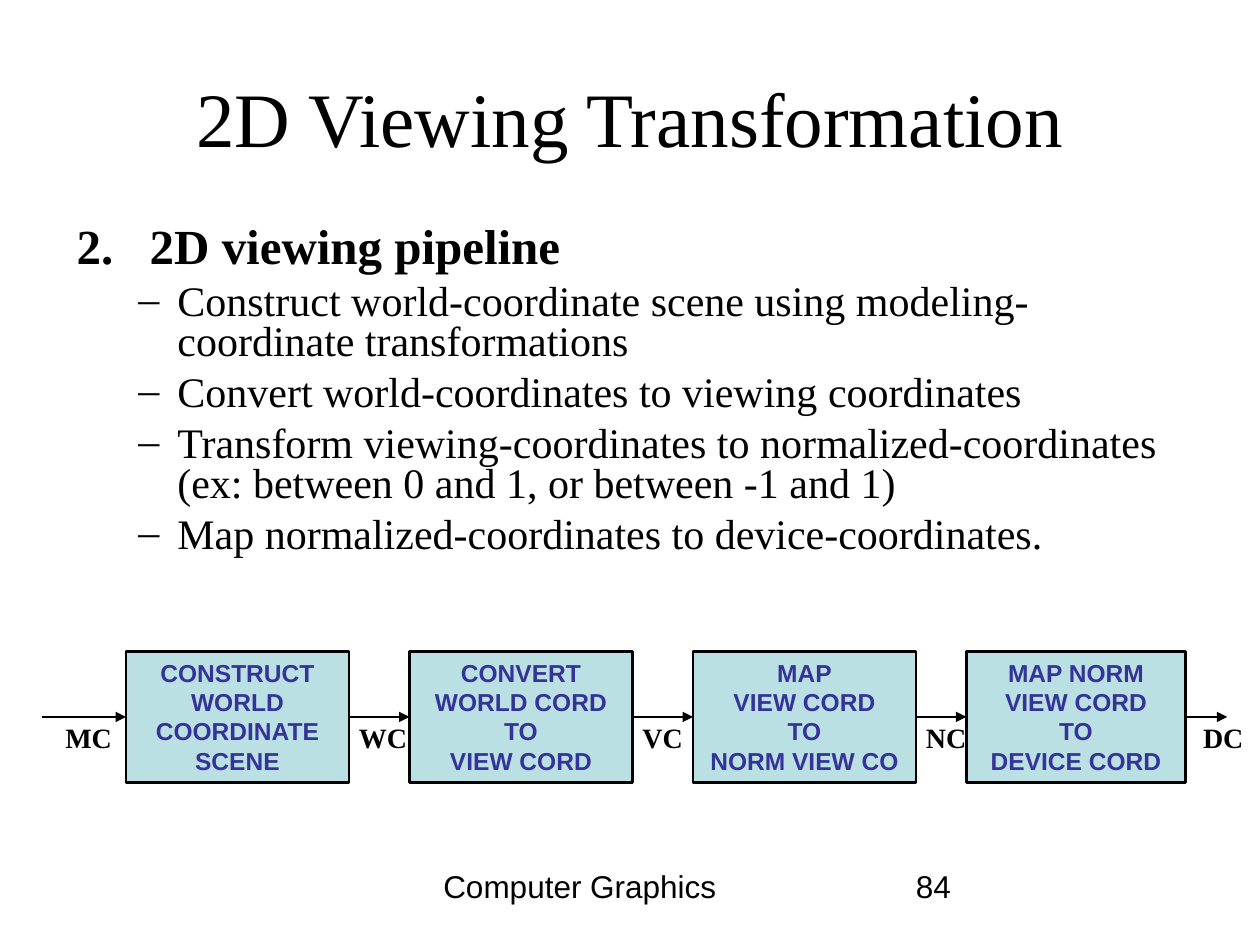
from dataclasses import dataclass

from lxml import etree
from pptx import Presentation
from pptx.dml.color import RGBColor
from pptx.enum.shapes import MSO_CONNECTOR, MSO_SHAPE
from pptx.enum.text import MSO_ANCHOR, PP_ALIGN
from pptx.oxml.ns import qn
from pptx.util import Inches, Pt

RECT = MSO_SHAPE.RECTANGLE
STRAIGHT = MSO_CONNECTOR.STRAIGHT
LEFT, CENTER = PP_ALIGN.LEFT, PP_ALIGN.CENTER
TOP, MIDDLE = MSO_ANCHOR.TOP, MSO_ANCHOR.MIDDLE
LEFT_SIDE, RIGHT_SIDE = 1, 3
TITLE_ONLY = 5


@dataclass(frozen=True)
class Theme:
    serif: str = "Times New Roman"
    sans: str = "Arial"
    ink: str = "000000"
    box_fill: str = "BBE0E3"
    box_text: str = "333399"
    title: int = 44
    heading: int = 28
    bullet: int = 24
    footer: int = 18
    label: int = 16
    box: int = 14
    line: float = 1.5


def rgb(value):
    return RGBColor.from_string(value)


def add_xml(parent, tag, **attrs):
    return etree.SubElement(parent, qn(tag), attrs)


def write(p, text, *, font, size, color, bold=False, align=LEFT, spacing=None,
          before=0, hang=None, bullet=None):
    """Fill a paragraph; hang is (left margin, first-line indent) in inches."""
    pPr = p._p.get_or_add_pPr()
    if hang:
        margin, indent = hang
        pPr.set("marL", str(Inches(margin)))
        pPr.set("indent", str(Inches(indent)))
    if bullet:
        add_xml(add_xml(pPr, "a:buClr"), "a:srgbClr", val=color)
        add_xml(pPr, "a:buFont", typeface=font)
        add_xml(pPr, "a:buChar", char=bullet)
    p.alignment = align
    if spacing:
        p.line_spacing = spacing
    if before:
        p.space_before = Pt(before)
    r = p.add_run()
    r.text = text
    r.font.name = font
    r.font.size = Pt(size)
    r.font.bold = bold
    r.font.color.rgb = rgb(color)


class SlideBuilder:
    def __init__(self, prs, theme):
        self.theme = theme
        self.s = prs.slides.add_slide(prs.slide_layouts[TITLE_ONLY])

    def title(self, text, left, top, width, height):
        sp = self.s.shapes.title
        sp.left, sp.top = Inches(left), Inches(top)
        sp.width, sp.height = Inches(width), Inches(height)
        sp.text_frame.vertical_anchor = MIDDLE
        write(sp.text_frame.paragraphs[0], text, font=self.theme.serif,
              size=self.theme.title, color=self.theme.ink, align=CENTER)

    def text_frame(self, left, top, width, height):
        sp = self.s.shapes.add_textbox(Inches(left), Inches(top),
                                       Inches(width), Inches(height))
        sp.text_frame.word_wrap = True
        return sp.text_frame

    def body(self, heading, bullets, left, top, width, height):
        t = self.theme
        tf = self.text_frame(left, top, width, height)
        style = dict(font=t.serif, color=t.ink, spacing=0.8)
        write(tf.paragraphs[0], heading, size=t.heading, bold=True,
              hang=(0.59, -0.58), **style)
        for text in bullets:
            write(tf.add_paragraph(), text, size=t.bullet, before=6,
                  hang=(0.81, -0.31), bullet="–", **style)

    def footer(self, text, left, width):
        tf = self.text_frame(left, 6.83, width, 0.51)
        write(tf.paragraphs[0], text, font=self.theme.sans,
              size=self.theme.footer, color=self.theme.ink)

    def label(self, text, left, top):
        tf = self.text_frame(left, top, 0.55, 0.37)
        tf.margin_right = 0
        write(tf.paragraphs[0], text, font=self.theme.serif,
              size=self.theme.label, color=self.theme.ink, bold=True)

    def box(self, lines, left, top, width, height):
        t = self.theme
        sp = self.s.shapes.add_shape(RECT, Inches(left), Inches(top),
                                     Inches(width), Inches(height))
        sp.shadow.inherit = False
        sp.fill.solid()
        sp.fill.fore_color.rgb = rgb(t.box_fill)
        sp.line.color.rgb = rgb(t.ink)
        sp.line.width = Pt(t.line)
        tf = sp.text_frame
        tf.word_wrap = True
        tf.vertical_anchor = TOP
        for i, text in enumerate(lines):
            p = tf.add_paragraph() if i else tf.paragraphs[0]
            write(p, text, font=t.sans, size=t.box, color=t.box_text,
                  bold=True, align=CENTER)
        return sp

    def arrow(self, start, end, y, source=None, target=None):
        """Draw a level arrow, joined to the source and target boxes if given."""
        c = self.s.shapes.add_connector(STRAIGHT, Inches(start), Inches(y),
                                        Inches(end), Inches(y))
        if source is not None:
            c.begin_connect(source, RIGHT_SIDE)
        if target is not None:
            c.end_connect(target, LEFT_SIDE)
        c.line.color.rgb = rgb(self.theme.ink)
        c.line.width = Pt(self.theme.line)
        add_xml(c.line._get_or_add_ln(), "a:tailEnd", type="triangle")
        add_xml(c._element.spPr, "a:effectLst")


BULLETS = [
    "Construct world-coordinate scene using modeling-coordinate transformations",
    "Convert world-coordinates to viewing coordinates",
    "Transform viewing-coordinates to normalized-coordinates "
    "(ex: between 0 and 1, or between -1 and 1)",
    "Map normalized-coordinates to device-coordinates.",
]

# Left edge, width and lines of each stage
STAGES = [
    (1, 1.77, ["CONSTRUCT WORLD COORDINATE SCENE"]),
    (3.25, 1.77, ["CONVERT", "WORLD CORD TO", "VIEW CORD"]),
    (5.5, 1.77, ["MAP", "VIEW CORD", "TO", "NORM VIEW CO"]),
    (7.67, 1.74, ["MAP NORM VIEW CORD", "TO", "DEVICE CORD"]),
]
STAGE_TOP, STAGE_HEIGHT = 5.17, 1.04
LABELS = [("MC", 0.42), ("WC", 2.75), ("VC", 5), ("NC", 7.25), ("DC", 9.45)]
PIPE_START, PIPE_END = 0.33, 9.74


def main():
    prs = Presentation()
    prs.slide_width, prs.slide_height = Inches(10), Inches(7.5)
    slide = SlideBuilder(prs, Theme())

    slide.title("2D Viewing Transformation", 0.5, 0.3, 9, 1.25)
    slide.body("2.\t2D viewing pipeline", BULLETS, 0.5, 1.75, 9, 3.01)

    boxes = [slide.box(lines, left, STAGE_TOP, width, STAGE_HEIGHT)
             for left, width, lines in STAGES]
    axis = STAGE_TOP + STAGE_HEIGHT / 2
    for source, target in zip([None] + boxes, boxes + [None]):
        slide.arrow(PIPE_START, PIPE_END, axis, source, target)
    for text, left in LABELS:
        slide.label(text, left, 5.67)

    slide.footer("Computer Graphics", 3.42, 3.16)
    slide.footer("84", 7.17, 2.33)
    prs.save("out.pptx")


if __name__ == "__main__":
    main()
